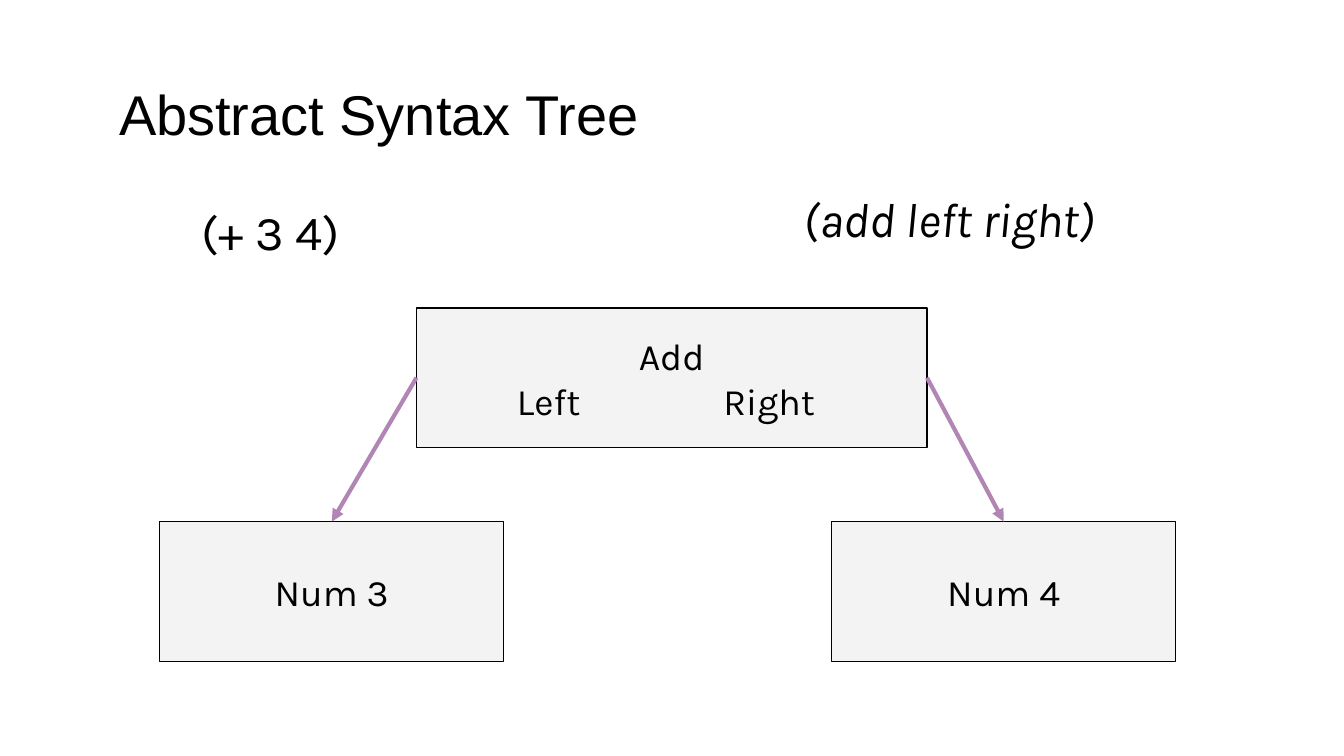
from dataclasses import dataclass

from lxml.etree import SubElement
from pptx import Presentation
from pptx.dml.color import RGBColor
from pptx.enum.shapes import MSO_CONNECTOR as Connector, MSO_SHAPE as Shape
from pptx.enum.text import MSO_ANCHOR as Anchor, PP_ALIGN as Align
from pptx.oxml.ns import qn
from pptx.util import Cm, Pt


@dataclass(frozen=True)
class Theme:
    ink: RGBColor = RGBColor(0x00, 0x00, 0x00)
    node: RGBColor = RGBColor(0xF3, 0xF3, 0xF3)
    edge: RGBColor = RGBColor(0xB1, 0x85, 0xB4)
    title_font: str = "Arial"
    body_font: str = "Karla"
    title_size: int = 30
    code_size: int = 26
    node_size: int = 20
    border: float = 0.75
    edge_width: float = 2.25


THEME = Theme()
MARGIN = Cm(0.25)
NODE_HEIGHT = 2.64
LEAF_WIDTH = 6.5
LEAF_TOP = 9.86


def write(shape, text, font, size, align=Align.CENTER, anchor=Anchor.TOP, italic=False):
    frame = shape.text_frame
    frame.text = text
    frame.word_wrap = True
    frame.vertical_anchor = anchor
    frame.margin_left = frame.margin_right = MARGIN
    frame.margin_top = frame.margin_bottom = MARGIN
    for para in frame.paragraphs:
        para.alignment = align
        for span in para.runs:
            span.font.name = font
            span.font.size = Pt(size)
            span.font.color.rgb = THEME.ink
            span.font.italic = italic


def add_text(slide, text, left, top, width, height, font, size, **style):
    box = slide.shapes.add_textbox(Cm(left), Cm(top), Cm(width), Cm(height))
    write(box, text, font, size, **style)


def add_node(slide, text, left, top, width):
    node = slide.shapes.add_shape(
        Shape.RECTANGLE, Cm(left), Cm(top), Cm(width), Cm(NODE_HEIGHT)
    )
    node.shadow.inherit = False
    node.fill.solid()
    node.fill.fore_color.rgb = THEME.node
    node.line.color.rgb = THEME.ink
    node.line.width = Pt(THEME.border)
    write(node, text, THEME.body_font, THEME.node_size, anchor=Anchor.MIDDLE)
    return node


def set_tabs(para, *stops):
    para.alignment = Align.LEFT
    tabs = SubElement(para._p.get_or_add_pPr(), qn("a:tabLst"))
    for stop in stops:
        SubElement(tabs, qn("a:tab"), pos=str(Cm(stop)), algn="l")


def add_edge(slide, parent, side, child):
    edge = slide.shapes.add_connector(Connector.STRAIGHT, 0, 0, 0, 0)
    edge.begin_connect(parent, side)
    edge.end_connect(child, 0)
    edge.line.color.rgb = THEME.edge
    edge.line.width = Pt(THEME.edge_width)
    SubElement(edge.line._get_or_add_ln(), qn("a:tailEnd"), type="triangle")
    SubElement(edge._element.spPr, qn("a:effectLst"))


def main():
    deck = Presentation()
    deck.slide_width, deck.slide_height = Cm(25.4), Cm(14.29)
    slide = deck.slides.add_slide(deck.slide_layouts[6])

    add_text(slide, "Abstract Syntax Tree", 2, 1.25, 20.4, 3.23,
             THEME.title_font, THEME.title_size, align=Align.LEFT)
    add_text(slide, "(+ 3 4)", 2.26, 3.56, 5.72, 1.6,
             THEME.body_font, THEME.code_size)
    add_text(slide, "(add left right)", 13.69, 3.33, 8.51, 1.6,
             THEME.body_font, THEME.code_size, italic=True)

    root = add_node(slide, "Add\n\tLeft\tRight", 7.87, 5.82, 9.65)
    set_tabs(root.text_frame.paragraphs[1], 1.65, 5.55)

    for text, left, side in (("Num 3", 3.02, 1), ("Num 4", 15.72, 3)):
        leaf = add_node(slide, text, left, LEAF_TOP, LEAF_WIDTH)
        add_edge(slide, root, side, leaf)

    deck.save("out.pptx")


if __name__ == "__main__":
    main()
